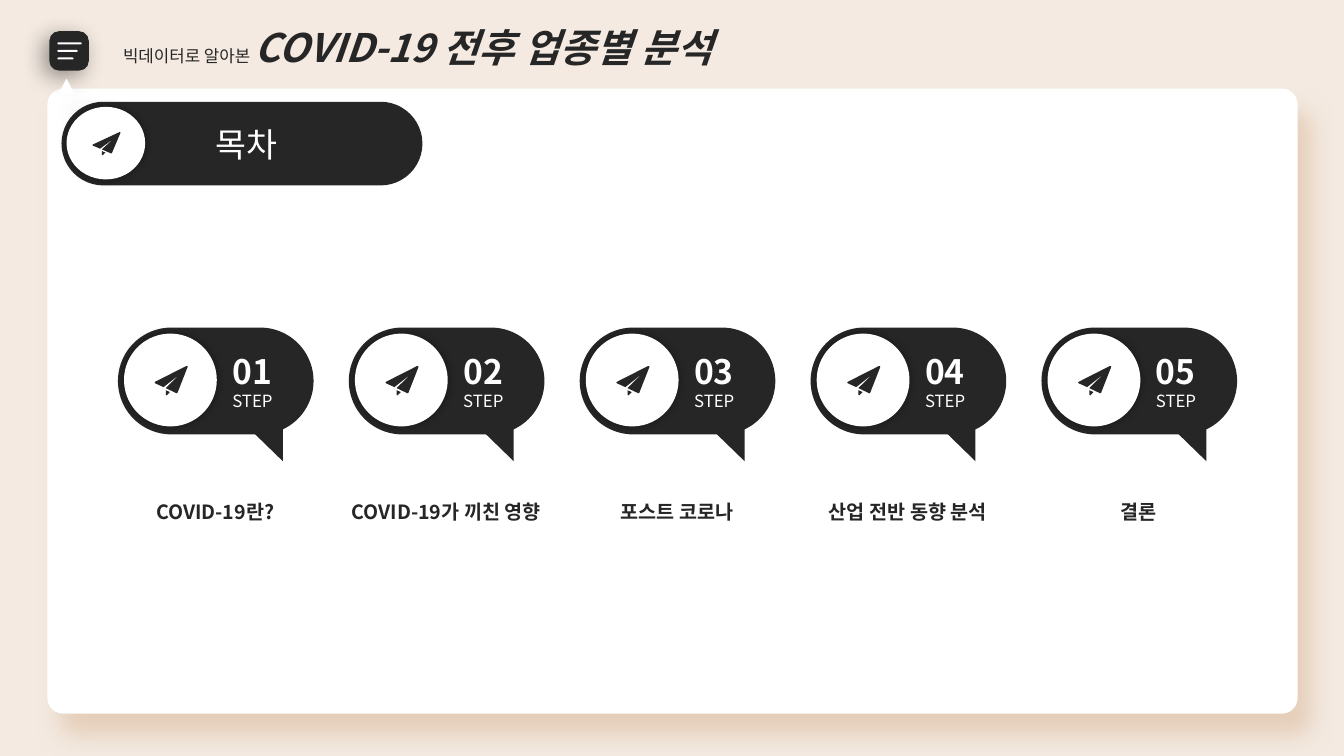
from dataclasses import dataclass

from lxml.etree import SubElement
from pptx import Presentation
from pptx.dml.color import RGBColor
from pptx.enum.shapes import MSO_SHAPE as Preset
from pptx.enum.text import MSO_ANCHOR as Anchor, MSO_AUTO_SIZE as AutoSize, PP_ALIGN as Align
from pptx.oxml.ns import qn
from pptx.util import Emu, Inches, Pt

FONT = "Noto Sans CJK KR"
DARK = "262626"
WHITE = "FFFFFF"

# Outlines in thousandths of the circle that holds the paper plane
PLANE_FLAP = [(450, 610), (495, 630), (460, 665), (450, 660)]
PLANE_WINGS = [(670, 350), (685, 350), (685, 362), (577, 638), (567, 643), (450, 587),
               (605, 435), (427, 577), (335, 535), (330, 525), (335, 520)]


@dataclass(frozen=True)
class Box:
    left: float
    top: float
    width: float
    height: float

    def lengths(self) -> list[Emu]:
        return [Inches(v) for v in (self.left, self.top, self.width, self.height)]


@dataclass(frozen=True)
class Shadow:
    color: str
    opacity: int
    blur: float
    distance: float
    direction: int


@dataclass(frozen=True)
class TextRun:
    text: str
    size: float
    color: str = DARK
    bold: bool = False
    italic: bool = False


CARD_SHADOW = Shadow("E1C6AD", 75, 16, 19, 60)
MENU_SHADOW = Shadow("000000", 40, 16, 6, 135)
POINTER_SHADOW = Shadow("000000", 11, 16, 19, 60)
CIRCLE_SHADOW = Shadow("000000", 40, 6, 0, 0)

STEPS = ["COVID-19란?", "COVID-19가 끼친 영향", "포스트 코로나", "산업 전반 동향 분석", "결론"]
STEP_LEFT = 1.17
STEP_PITCH = 2.29


def paint(shape, color: str) -> None:
    shape.shadow.inherit = False
    shape.fill.solid()
    shape.fill.fore_color.rgb = RGBColor.from_string(color)
    shape.line.fill.background()


def cast_shadow(shape, shadow: Shadow) -> None:
    effects = shape._element.spPr.find(qn("a:effectLst"))
    outer = SubElement(effects, qn("a:outerShdw"), blurRad=str(Pt(shadow.blur)),
                       dist=str(Pt(shadow.distance)), dir=str(shadow.direction * 60000),
                       algn="ctr", rotWithShape="0")
    color = SubElement(outer, qn("a:srgbClr"), val=shadow.color)
    SubElement(color, qn("a:alpha"), val=str(shadow.opacity * 1000))


def add_preset(shapes, preset: Preset, box: Box, color: str,
               corner: float | None = None, shadow: Shadow | None = None):
    shape = shapes.add_shape(preset, *box.lengths())
    paint(shape, color)
    if corner is not None:
        shape.adjustments[0] = corner
    if shadow:
        cast_shadow(shape, shadow)
    return shape


def add_runs(paragraph, runs: list[TextRun], align: Align = Align.LEFT) -> None:
    paragraph.alignment = align
    for item in runs:
        run = paragraph.add_run()
        run.text = item.text
        font = run.font
        font.size = Pt(item.size)
        font.bold = item.bold
        font.italic = item.italic
        font.color.rgb = RGBColor.from_string(item.color)
        font.name = FONT
        SubElement(font._element, qn("a:ea"), typeface=FONT)


def add_outline(shapes, points: list[tuple[int, int]], circle: Box) -> None:
    left, top, width, height = circle.lengths()
    builder = shapes.build_freeform(*points[0], scale=(width / 1000, height / 1000))
    builder.add_line_segments(points[1:], close=True)
    paint(builder.convert_to_shape(left, top), DARK)


def add_badge(shapes, pill: Box, circle: Box, lines: list[TextRun], indent: float) -> None:
    """Dark pill with text beside a white circle holding a paper plane."""
    shape = add_preset(shapes, Preset.ROUNDED_RECTANGLE, pill, DARK, 0.5)
    frame = shape.text_frame
    frame.vertical_anchor = Anchor.MIDDLE
    frame.margin_left = Inches(indent)
    for index, line in enumerate(lines):
        add_runs(frame.add_paragraph() if index else frame.paragraphs[0], [line])
    add_preset(shapes, Preset.OVAL, circle, WHITE, shadow=CIRCLE_SHADOW)
    for points in (PLANE_FLAP, PLANE_WINGS):
        add_outline(shapes, points, circle)


def add_step(slide, number: int, label: str) -> None:
    left = STEP_LEFT + (number - 1) * STEP_PITCH
    shapes = slide.shapes.add_group_shape().shapes
    lines = [TextRun(f"{number:02}", 24, WHITE, bold=True), TextRun("STEP", 12, WHITE)]
    add_badge(shapes, Box(left, 3.25, 1.94, 1.06), Box(left + 0.06, 3.31, 0.92, 0.92),
              lines, 0.98)

    tail = add_preset(shapes, Preset.RIGHT_TRIANGLE, Box(left + 1.28, 4.22, 0.35, 0.36), DARK)
    tail.rotation = 270
    tail._element.spPr.xfrm.set("flipH", "1")

    caption = shapes.add_textbox(*Box(left - 0.31, 4.79, 2.55, 0.41).lengths()).text_frame
    caption.word_wrap = True
    paragraph = caption.paragraphs[0]
    paragraph.line_spacing = 1.5
    add_runs(paragraph, [TextRun(label, 14, bold=True)], Align.CENTER)


def add_title(slide) -> None:
    title = slide.shapes.title
    title.left, title.top, title.width, title.height = Box(1.03, 0.18, 7.85, 0.57).lengths()
    frame = title.text_frame
    frame.auto_size = AutoSize.NONE
    frame.vertical_anchor = Anchor.TOP
    frame.margin_left = Inches(0.19)
    add_runs(frame.paragraphs[0], [
        TextRun("빅데이터로 알아본 ", 12),
        TextRun("COVID-19 전후 업종별 분석", 28, bold=True, italic=True),
    ])


def add_card_and_menu(slide) -> None:
    shapes = slide.shapes
    rounded = Preset.ROUNDED_RECTANGLE
    add_preset(shapes, rounded, Box(0.47, 0.88, 12.4, 6.2), WHITE, 0.025, CARD_SHADOW)
    add_preset(shapes, rounded, Box(0.49, 0.31, 0.39, 0.39), DARK, 0.242, MENU_SHADOW)
    for index, width in enumerate((0.24, 0.2, 0.16)):
        add_preset(shapes, rounded, Box(0.57, 0.42 + index * 0.075, width, 0.02), WHITE, 0.5)
    add_preset(shapes, Preset.ISOSCELES_TRIANGLE, Box(0.58, 0.78, 0.16, 0.15), WHITE,
               shadow=POINTER_SHADOW)


def main() -> None:
    presentation = Presentation()
    presentation.slide_width = Inches(13.33)
    presentation.slide_height = Inches(7.5)
    slide = presentation.slides.add_slide(presentation.slide_layouts[5])
    background = slide.background.fill
    background.solid()
    background.fore_color.rgb = RGBColor.from_string("F4EAE1")

    add_card_and_menu(slide)
    add_title(slide)
    for number, label in enumerate(STEPS, start=1):
        add_step(slide, number, label)
    add_badge(slide.shapes.add_group_shape().shapes, Box(0.61, 1.01, 3.58, 0.83),
              Box(0.66, 1.06, 0.78, 0.72), [TextRun("목차", 24, WHITE)], 1.41)
    presentation.save("out.pptx")


if __name__ == "__main__":
    main()
